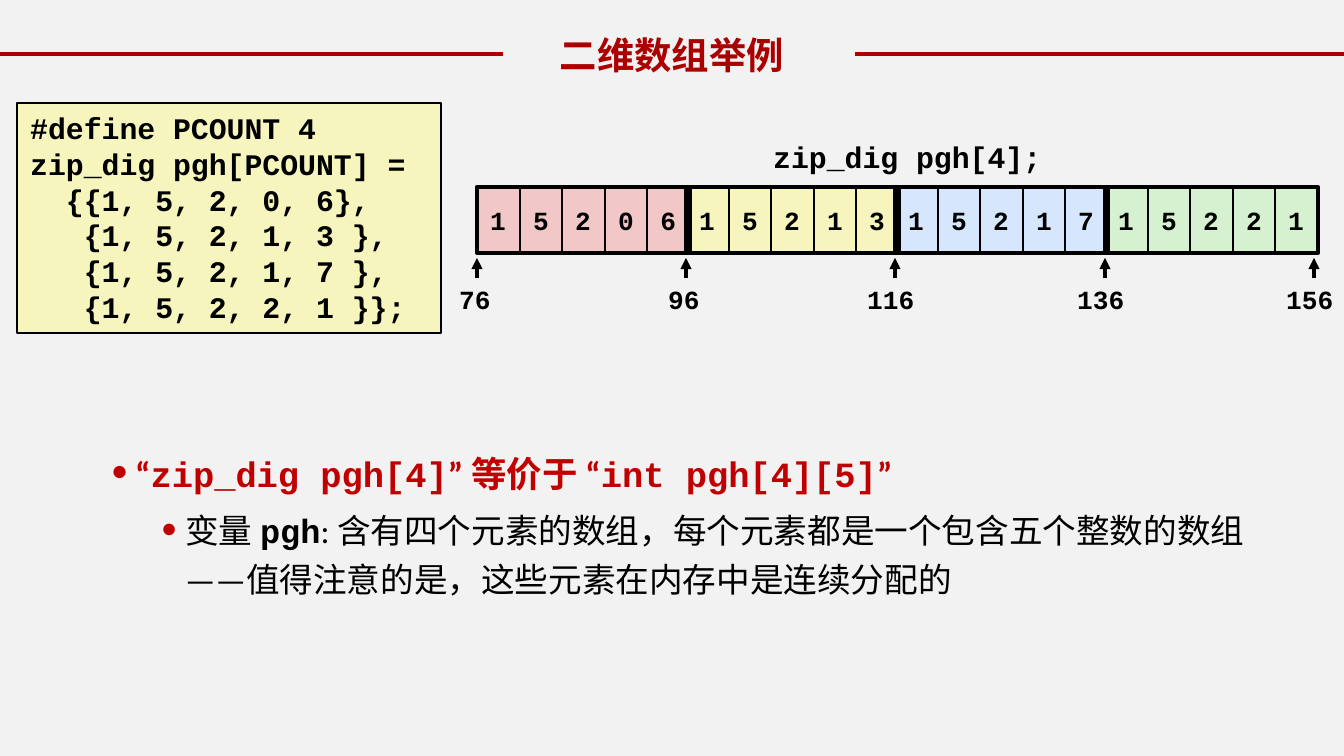
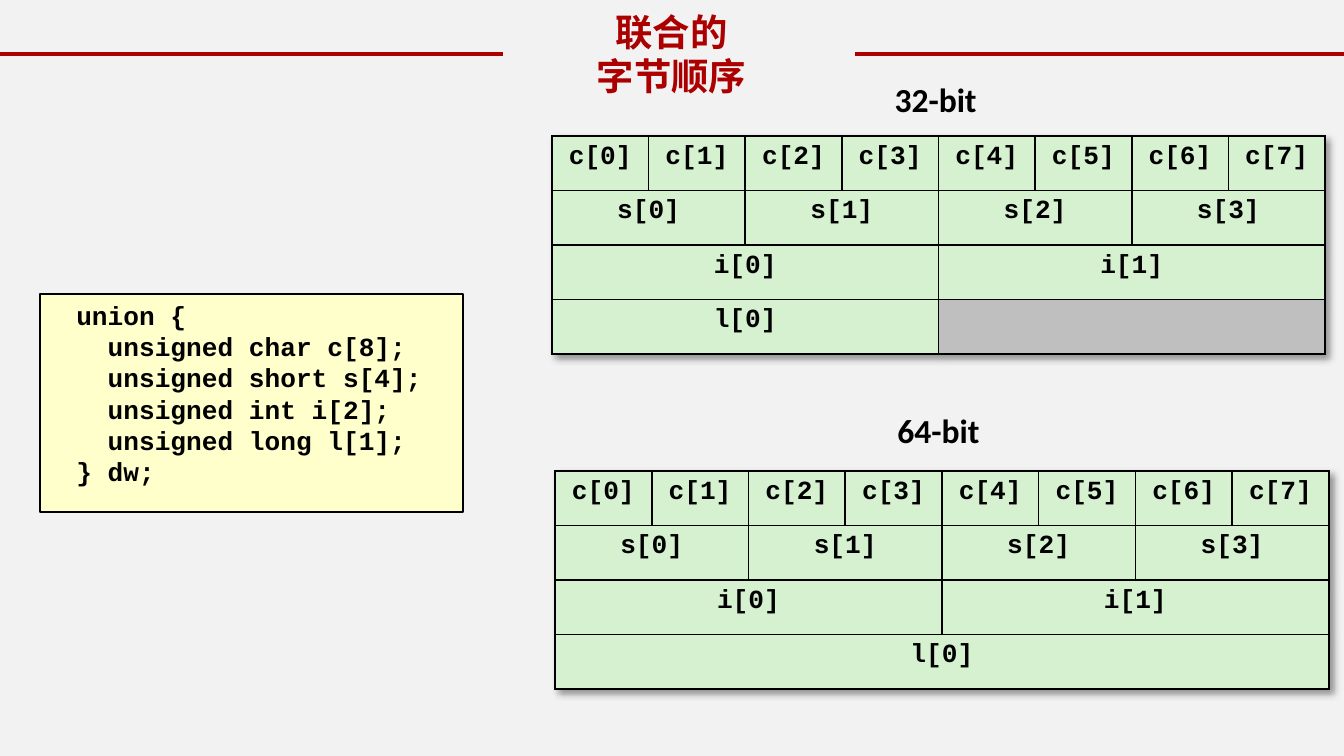
from lxml import etree
from pptx import Presentation
from pptx.dml.color import RGBColor
from pptx.enum.shapes import MSO_CONNECTOR as Conn, MSO_SHAPE as Shape
from pptx.enum.text import MSO_ANCHOR as Anchor, MSO_AUTO_SIZE as Fit, PP_ALIGN as Align
from pptx.oxml import parse_xml
from pptx.oxml.ns import nsdecls, qn
from pptx.util import Emu, Pt

SCALE = 914400 / 134.4
MONO, SANS, HAN = "Courier New", "Calibri", "Noto Sans CJK SC"
BLACK, RED, ACCENT, PAPER = "000000", "AC0000", "C00000", "F2F2F2"
PINK, YELLOW, BLUE, GREEN = "F1C7C7", "F6F5BD", "D5E6FD", "D5F1CF"
CREAM, GRAY = "FFFFCC", "BFBFBF"

ZIPS = [("15206", PINK), ("15213", YELLOW), ("15217", BLUE), ("15221", GREEN)]
ZIP_CODE = """#define PCOUNT 4
zip_dig pgh[PCOUNT] =
  {{1, 5, 2, 0, 6},
   {1, 5, 2, 1, 3 },
   {1, 5, 2, 1, 7 },
   {1, 5, 2, 2, 1 }};"""
UNION_CODE = """  union {
    unsigned char c[8];
    unsigned short s[4];
    unsigned int i[2];
    unsigned long l[1];
  } dw;"""


def px(n):
    return Emu(round(n * SCALE))


def box(*nums):
    return [px(n) for n in nums]


def rgb(code):
    return RGBColor.from_string(code)


def add_run(para, text, size, face=MONO, color=BLACK, bold=True):
    run = para.add_run()
    run.text = text
    font = run.font
    font.size, font.bold, font.name = Pt(size), bold, face
    font.color.rgb = rgb(color)
    east = etree.Element(qn("a:ea"), typeface=face)
    font._element.find(qn("a:latin")).addnext(east)


def write(frame, text, size, face=MONO, color=BLACK, align=Align.LEFT, gap=None):
    """Fill a text frame with one paragraph for each line of text."""
    for i, line in enumerate(text.split("\n")):
        para = frame.add_paragraph() if i else frame.paragraphs[0]
        para.alignment = align
        if gap:
            para.line_spacing = gap
        add_run(para, line, size, face, color)


def add_text(slide, spot, text, size, **look):
    frame = slide.shapes.add_textbox(*box(*spot)).text_frame
    frame.word_wrap = True
    write(frame, text, size, **look)


def add_rect(slide, spot, fill=None, width=1):
    rect = slide.shapes.add_shape(Shape.RECTANGLE, *box(*spot))
    rect.shadow.inherit = False
    if fill:
        rect.fill.solid()
        rect.fill.fore_color.rgb = rgb(fill)
    else:
        rect.fill.background()
    rect.line.color.rgb = rgb(BLACK)
    rect.line.width = Pt(width)
    return rect


def add_line(slide, ends, color, arrow=False):
    line = slide.shapes.add_connector(Conn.STRAIGHT, *box(*ends))
    line.line.color.rgb = rgb(color)
    line.line.width = Pt(2)
    if arrow:
        etree.SubElement(line.line._get_or_add_ln(), qn("a:tailEnd"), type="triangle")
    etree.SubElement(line._element.spPr, qn("a:effectLst"))


def add_code(slide, spot, text, size, fill, inset=None):
    frame = add_rect(slide, spot, fill).text_frame
    frame.vertical_anchor = Anchor.TOP
    if inset:
        frame.margin_left = frame.margin_right = px(inset)
        frame.margin_top = frame.margin_bottom = px(inset)
    write(frame, text, size)


def add_slide(prs, title, spot):
    slide = prs.slides.add_slide(prs.slide_layouts[5])
    for ends in ((0, 54, 503, 54), (855, 54, 1344, 54)):
        add_line(slide, ends, RED)
    head = slide.shapes.title
    head.left, head.top, head.width, head.height = box(*spot)
    frame = head.text_frame
    frame.auto_size, frame.vertical_anchor = Fit.NONE, Anchor.TOP
    write(frame, title, 20, HAN, RED, Align.CENTER, Pt(24))
    return slide


def add_zips(slide):
    """Draw the array as rows of digits, with the address of each row."""
    step, top, tall = 209.2, 187, 66
    lefts = [round(477 + i * step) for i in range(len(ZIPS) + 1)]
    for left, (digits, fill) in zip(lefts, ZIPS):
        for j, digit in enumerate(digits):
            cell = add_rect(slide, (left + round(j * 42.6), top, 43, tall), fill)
            frame = cell.text_frame
            frame.word_wrap, frame.vertical_anchor = False, Anchor.MIDDLE
            write(frame, digit, 14)
    for left in lefts[:-1]:
        add_rect(slide, (left, top, 213, tall), width=2.25)
    for i, left in enumerate(lefts):
        add_line(slide, (left, 278, left, 258), BLACK, arrow=True)
        spot = str(76 + 20 * i)
        back = 31 if len(spot) == 2 else 41
        add_text(slide, (left - back, 277, 83, 46), spot, 14)


def add_point(para, indent, runs, level=0):
    para.level, para.line_spacing = level, 1.2
    if level:
        para.space_before = Pt(4)
    props = para._p.get_or_add_pPr()
    props.set("marL", str(px(indent)))
    props.set("indent", str(-px(24)))
    tint = etree.SubElement(props, qn("a:buClr"))
    etree.SubElement(tint, qn("a:srgbClr"), val=ACCENT)
    etree.SubElement(props, qn("a:buSzPct"), val="80000")
    etree.SubElement(props, qn("a:buFont"), typeface=MONO)
    etree.SubElement(props, qn("a:buChar"), char="●")
    for run in runs:
        add_run(para, *run)


def add_notes(slide):
    frame = slide.shapes.add_textbox(*box(98, 437, 1176, 206)).text_frame
    frame.word_wrap = True
    parts = [("“", SANS), ("zip_dig pgh[4]", MONO), ("” 等价于 “", SANS),
             ("int pgh[4][5]", MONO), ("”", SANS)]
    add_point(frame.paragraphs[0], 24,
              [(text, 19, face, ACCENT) for text, face in parts])
    add_point(frame.add_paragraph(), 74, [
        ("变量 ", 18, SANS, BLACK, False),
        ("pgh", 18),
        (": 含有四个元素的数组，每个元素都是一个包含五个整数的数组"
         "——值得注意的是，这些元素在内存中是连续分配的", 18, SANS, BLACK, False),
    ], level=1)


def add_edges(cell):
    props = cell._tc.get_or_add_tcPr()
    for i, side in enumerate("LRTB"):
        edge = parse_xml(
            f'<a:ln{side} {nsdecls("a")} w="12700"><a:solidFill>'
            f'<a:srgbClr val="{BLACK}"/></a:solidFill></a:ln{side}>')
        props.insert(i, edge)


def add_shade(table):
    table._tbl.tblPr.insert(0, parse_xml(
        f'<a:effectLst {nsdecls("a")}><a:outerShdw blurRad="50800" dist="38100" '
        'dir="2700000" algn="tl" rotWithShape="0"><a:srgbClr val="000000">'
        '<a:alpha val="40000"/></a:srgbClr></a:outerShdw></a:effectLst>'))


def add_union(slide, spot, label, place, long):
    """Draw the eight bytes of the union; a long takes `long` of them."""
    add_text(slide, place, label, 18, face=SANS, align=Align.RIGHT)
    rows = [("c", 1), ("s", 2), ("i", 4), ("l", long)]
    table = slide.shapes.add_table(len(rows), 8, *box(*spot)).table
    table.first_row = table.horz_banding = False
    add_shade(table)
    for r, (name, span) in enumerate(rows):
        for c in range(8):
            cell = table.cell(r, c)
            blank = name == "l" and c >= long
            cell.fill.solid()
            cell.fill.fore_color.rgb = rgb(GRAY if blank else GREEN)
            add_edges(cell)
            if c % span:
                continue
            if span > 1:
                cell.merge(table.cell(r, c + span - 1))
            if not blank:
                write(cell.text_frame, f"{name}[{c // span}]", 14, align=Align.CENTER)


def main():
    prs = Presentation()
    prs.slide_width, prs.slide_height = box(1344, 756)
    back = prs.slide_master.background.fill
    back.solid()
    back.fore_color.rgb = rgb(PAPER)

    arrays = add_slide(prs, "二维数组举例", (542, 25, 260, 59))
    add_code(arrays, (17, 103, 424, 230), ZIP_CODE, 16, YELLOW)
    add_text(arrays, (760, 132, 335, 50), "zip_dig pgh[4];", 16)
    add_zips(arrays)
    add_notes(arrays)

    unions = add_slide(prs, "联合的\n字节顺序", (560, 2, 223, 103))
    add_code(unions, (40, 294, 423, 218), UNION_CODE, 14, CREAM, inset=5)
    add_union(unions, (552, 136, 773, 218), "32-bit", (852, 72, 138, 69), 4)
    add_union(unions, (555, 471, 774, 218), "64-bit", (855, 403, 138, 69), 8)
    prs.save("out.pptx")


if __name__ == "__main__":
    main()
